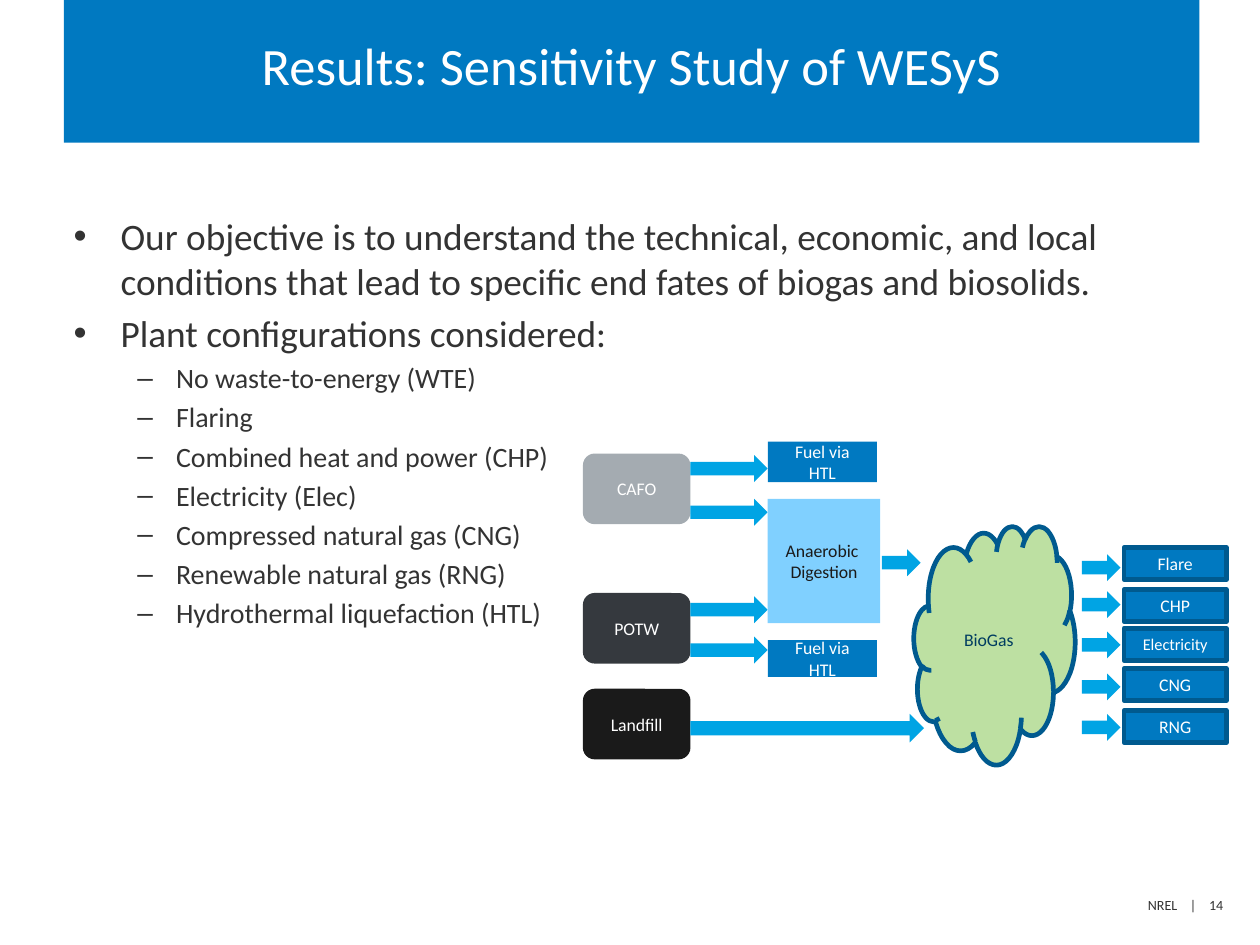
from dataclasses import dataclass

from lxml import etree
from pptx import Presentation
from pptx import util as u
from pptx.dml.color import RGBColor
from pptx.enum import shapes, text
from pptx.oxml.ns import qn


@dataclass(frozen=True)
class Theme:
    font: str = "Calibri"
    white: str = "FFFFFF"
    body: str = "333333"
    blue: str = "0079C1"
    border: str = "005A8F"
    arrow: str = "00A4E4"
    sky: str = "80D0FF"
    green: str = "BDE0A2"
    navy: str = "003C60"
    gray: str = "A4ABB1"
    slate: str = "35393E"
    black: str = "1A1A1A"
    title_size: float = 22.5
    bullet_size: float = 16
    sub_bullet_size: float = 12
    label_size: float = 7.6
    small_label_size: float = 7
    footer_size: float = 6


BULLETS = [
    (0, "Our objective is to understand the technical, economic, and local "
        "conditions that lead to specific end fates of biogas and biosolids."),
    (0, "Plant configurations considered:"),
    (1, "No waste-to-energy (WTE)"),
    (1, "Flaring"),
    (1, "Combined heat and power (CHP)"),
    (1, "Electricity (Elec)"),
    (1, "Compressed natural gas (CNG)"),
    (1, "Renewable natural gas (RNG)"),
    (1, "Hydrothermal liquefaction (HTL)"),
]


class SlideBuilder:
    def __init__(self, slide, theme):
        self.slide = slide
        self.theme = theme

    def style_paragraph(self, paragraph, size, color, alignment):
        paragraph.alignment = alignment
        for run in paragraph.runs:
            run.font.name = self.theme.font
            run.font.size = u.Pt(size)
            run.font.color.rgb = RGBColor.from_string(color)

    def title(self, wording, left, top, width, height):
        shape = self.slide.shapes.title
        shape.left, shape.top = u.Inches(left), u.Inches(top)
        shape.width, shape.height = u.Inches(width), u.Inches(height)
        shape.fill.solid()
        shape.fill.fore_color.rgb = RGBColor.from_string(self.theme.blue)
        frame = shape.text_frame
        frame.text = wording
        frame.auto_size = text.MSO_AUTO_SIZE.NONE
        frame.vertical_anchor = text.MSO_ANCHOR.MIDDLE
        paragraph = frame.paragraphs[0]
        paragraph.line_spacing = u.Pt(21)
        self.style_paragraph(paragraph, self.theme.title_size,
                             self.theme.white, text.PP_ALIGN.CENTER)

    def text_box(self, left, top, width, height):
        box = self.slide.shapes.add_textbox(
            u.Inches(left), u.Inches(top), u.Inches(width), u.Inches(height))
        box.text_frame.word_wrap = True
        return box.text_frame

    def footer(self, wording, left, top, width, height):
        frame = self.text_box(left, top, width, height)
        frame.text = wording
        self.style_paragraph(frame.paragraphs[0], self.theme.footer_size,
                             self.theme.body, text.PP_ALIGN.RIGHT)

    def bullets(self, items, left, top, width, height):
        frame = self.text_box(left, top, width, height)
        frame.text = "\n".join(wording for _, wording in items)
        levels = [("•", 0.28, 0.28, self.theme.bullet_size),
                  ("–", 0.61, 0.23, self.theme.sub_bullet_size)]
        for index, (level, _) in enumerate(items):
            mark, margin, hanging, size = levels[level]
            paragraph = frame.paragraphs[index]
            paragraph.level = level
            if index:
                paragraph.space_before = u.Pt(0.2 * size)
            properties = paragraph._p.get_or_add_pPr()
            properties.set("marL", str(u.Inches(margin)))
            properties.set("indent", str(-u.Inches(hanging)))
            etree.SubElement(properties, qn("a:buFont"), typeface="Arial")
            etree.SubElement(properties, qn("a:buChar"), char=mark)
            self.style_paragraph(paragraph, size, self.theme.body,
                                 text.PP_ALIGN.LEFT)

    def shape(self, kind, left, top, width, height, fill, border=None):
        shape = self.slide.shapes.add_shape(
            kind, u.Inches(left), u.Inches(top),
            u.Inches(width), u.Inches(height))
        shape.shadow.inherit = False
        shape.fill.solid()
        shape.fill.fore_color.rgb = RGBColor.from_string(fill)
        if border:
            shape.line.color.rgb = RGBColor.from_string(border)
            shape.line.width = u.Pt(2)
        else:
            shape.line.fill.background()
        return shape

    def node(self, wording, kind, left, top, width, height, fill,
             color=None, border=None, size=None):
        """Add a shape with a centred label."""
        shape = self.shape(kind, left, top, width, height, fill, border)
        frame = shape.text_frame
        frame.text = wording
        frame.word_wrap = True
        frame.vertical_anchor = text.MSO_ANCHOR.MIDDLE
        for paragraph in frame.paragraphs:
            self.style_paragraph(paragraph, size or self.theme.label_size,
                                 color or self.theme.white,
                                 text.PP_ALIGN.CENTER)

    def arrow(self, left, top, width, height=0.16):
        self.shape(shapes.MSO_SHAPE.RIGHT_ARROW, left, top, width, height,
                   self.theme.arrow)


def draw_flow(builder):
    theme = builder.theme
    kinds = shapes.MSO_SHAPE

    for source, top, fill in [("CAFO", 2.7, theme.gray),
                              ("POTW", 3.53, theme.slate),
                              ("Landfill", 4.1, theme.black)]:
        builder.node(source, kinds.ROUNDED_RECTANGLE, 3.47, top, 0.64, 0.42,
                     fill)

    builder.arrow(4.11, 4.25, 1.39, 0.17)
    for top in (2.71, 2.97, 3.55, 3.79):
        builder.arrow(4.11, top, 0.46)

    for top, height in [(2.63, 0.24), (3.81, 0.22)]:
        builder.node("Fuel via HTL", kinds.RECTANGLE, 4.57, top, 0.65, height,
                     theme.blue)
    builder.node("Anaerobic \nDigestion", kinds.RECTANGLE,
                 4.57, 2.97, 0.67, 0.74, theme.sky, theme.black)
    builder.node("BioGas", kinds.CLOUD, 5.44, 3.13, 0.96, 1.42,
                 theme.green, theme.navy, theme.border)
    builder.arrow(5.25, 3.27, 0.23)

    for fate, top, arrow_top, size in [
            ("Flare", 3.26, 3.3, theme.label_size),
            ("CHP", 3.51, 3.52, theme.label_size),
            ("Electricity", 3.74, 3.76, theme.small_label_size),
            ("CNG", 3.98, 4.01, theme.label_size),
            ("RNG", 4.23, 4.25, theme.label_size)]:
        builder.node(fate, kinds.RECTANGLE, 6.69, top, 0.61, 0.19, theme.blue,
                     border=theme.border, size=size)
        builder.arrow(6.44, arrow_top, 0.23)


def main():
    presentation = Presentation()
    presentation.slide_width = u.Inches(7.5)
    presentation.slide_height = u.Inches(7.5 * 3 / 4)
    title_only = presentation.slide_layouts[5]
    builder = SlideBuilder(presentation.slides.add_slide(title_only), Theme())

    builder.footer("NREL    |    14", 5.51, 5.29, 1.87, 0.2)
    builder.title("Results: Sensitivity Study of WESyS", 0.38, 0, 6.76, 0.85)
    builder.bullets(BULLETS, 0.34, 1.22, 6.66, 3.96)
    draw_flow(builder)
    presentation.save("out.pptx")


if __name__ == "__main__":
    main()
